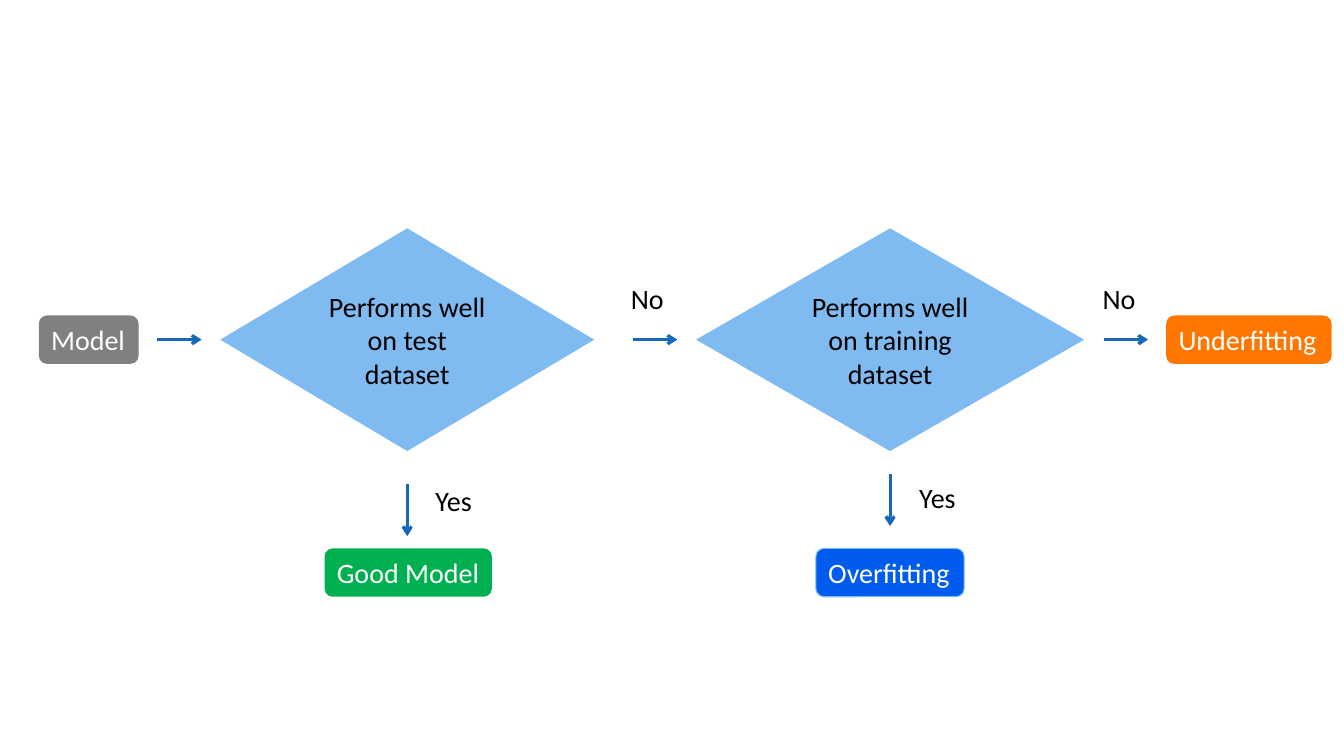
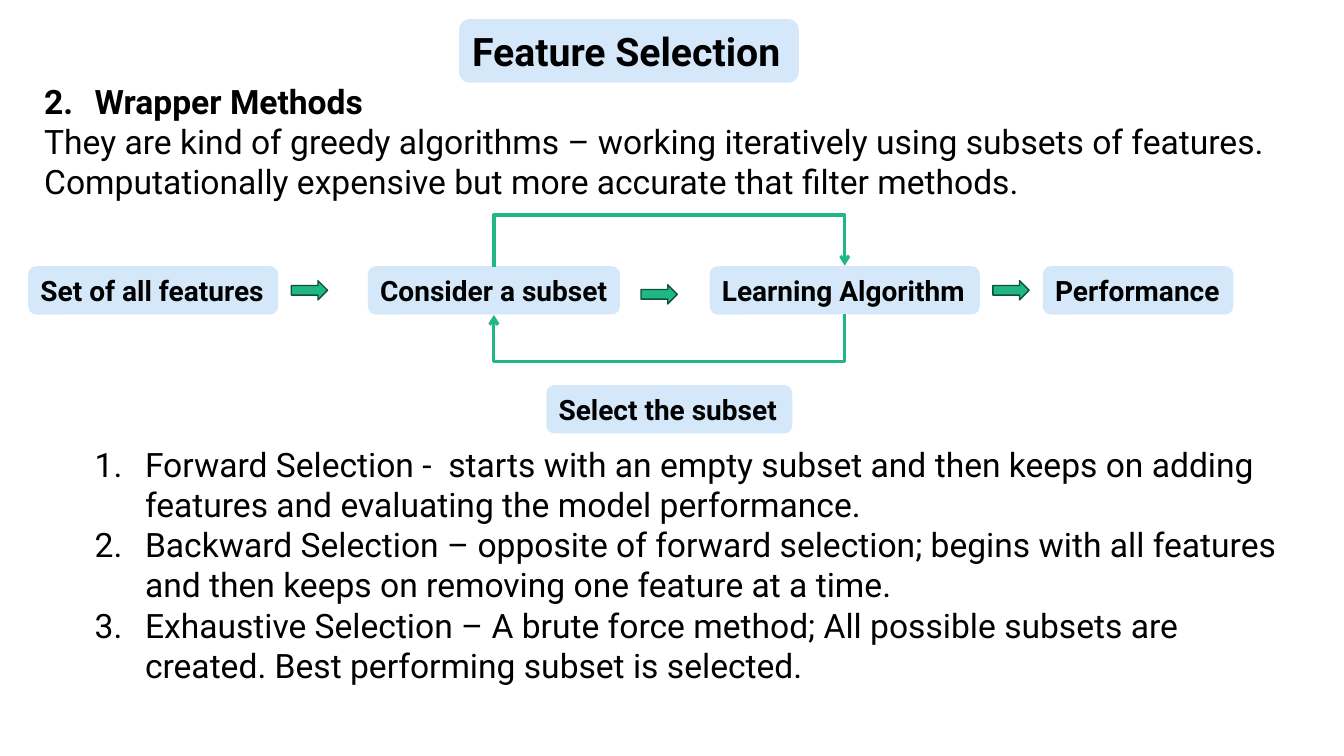
from dataclasses import dataclass
from lxml import etree
from pptx import Presentation, util as u
from pptx.dml.color import RGBColor
from pptx.enum import shapes, text
from pptx.oxml import ns


@dataclass(frozen=True)
class Theme:
    ink: str = "000000"
    white: str = "FFFFFF"
    gray: str = "808080"
    sky: str = "7FBAF1"
    pale: str = "D4E8FA"
    blue: str = "005BEF"
    navy: str = "1569B7"
    leaf: str = "00B050"
    fire: str = "FF7700"
    mint: str = "21B782"
    pine: str = "0E5039"
    flow: str = "Calibri"
    main: str = "Roboto"
    small: int = 20
    body: int = 24
    head: int = 28
    wire: float = 2.25
    chip: float = 4.8


LOOK = Theme()
KIND = shapes.MSO_SHAPE
JOIN = shapes.MSO_CONNECTOR


def add_node(parent, tag, **attrs):
    return etree.SubElement(parent, ns.qn(tag), attrs)


def write(frame, *lines, font=LOOK.flow, size=LOOK.small, color=LOOK.ink,
          bold=False, align=None, wrap=False, grow=True, number=0, indent=0.5):
    frame.word_wrap = wrap
    if grow:
        frame.auto_size = text.MSO_AUTO_SIZE.SHAPE_TO_FIT_TEXT
    for i, line in enumerate(lines):
        para = frame.paragraphs[0] if i == 0 else frame.add_paragraph()
        para.alignment = align or text.PP_ALIGN.LEFT
        if number:
            props = para._p.get_or_add_pPr()
            props.set("marL", str(u.Inches(indent)))
            props.set("indent", str(u.Inches(-0.5)))
            add_node(props, "a:buFont", typeface="+mj-lt")
            add_node(props, "a:buAutoNum", type="arabicPeriod", startAt=str(number))
        run = para.add_run()
        run.text = line
        run.font.name, run.font.size, run.font.bold = font, u.Pt(size), bold
        run.font.color.rgb = RGBColor.from_string(color)


class Deck:
    """Holds the style and current slide, measured on a grid of tenths of an inch."""

    def __init__(self, look):
        self.look = look
        self.show = Presentation()
        self.show.slide_width, self.show.slide_height = self.grid(133.33, 75)

    def grid(self, *cells):
        return [u.Inches(cell / 10) for cell in cells]

    def page(self):
        self.items = self.show.slides.add_slide(self.show.slide_layouts[6]).shapes

    def shape(self, kind, mid, row, wide, high, fill, edge=None, thick=1):
        item = self.items.add_shape(
            kind, *self.grid(mid - wide / 2, row - high / 2, wide, high))
        item.shadow.inherit = False
        item.fill.solid()
        item.fill.fore_color.rgb = RGBColor.from_string(fill)
        if edge:
            item.line.color.rgb = RGBColor.from_string(edge)
            item.line.width = u.Pt(thick)
        else:
            item.line.fill.background()
        return item

    def chip(self, words, mid, row, wide, fill, high=LOOK.chip, edge=None, **style):
        item = self.shape(KIND.ROUNDED_RECTANGLE, mid, row, wide, high, fill, edge, 0.75)
        item.text_frame.vertical_anchor = text.MSO_ANCHOR.MIDDLE
        write(item.text_frame, words, **style)

    def choice(self, lines, mid, row, wide, high):
        item = self.shape(KIND.DIAMOND, mid, row, wide, high, self.look.sky)
        item.text_frame.vertical_anchor = text.MSO_ANCHOR.MIDDLE
        write(item.text_frame, *lines, wrap=True, grow=False, align=text.PP_ALIGN.CENTER)

    def label(self, left, top, wide, high, *lines, **style):
        box = self.items.add_textbox(*self.grid(left, top, wide, high))
        write(box.text_frame, *lines, **style)
        return box.text_frame

    def wire(self, ends, color, kind=JOIN.STRAIGHT):
        item = self.items.add_connector(kind, *self.grid(*ends))
        item.line.color.rgb = RGBColor.from_string(color)
        item.line.width = u.Pt(self.look.wire)
        add_node(item.line._get_or_add_ln(), "a:tailEnd", type="arrow")
        add_node(item._element.spPr, "a:effectLst")
        return item

    def loop(self, start, end, row, drop):
        mid, half = (start + end) / 2, (start - end) / 2
        slim = 0.05 if half > 0 else -0.05
        item = self.wire((mid - slim, row - half, mid + slim, row + half),
                         self.look.mint, JOIN.ELBOW)
        props = item._element.spPr
        props.find(ns.qn("a:xfrm")).set("rot", "5400000")
        guides = props.find(ns.qn("a:prstGeom")).find(ns.qn("a:avLst"))
        ratio = round(drop / abs(2 * slim) * 100000)
        add_node(guides, "a:gd", name="adj1", fmla=f"val {ratio}")


def draw_fit(deck):
    look = deck.look
    deck.page()
    test, train, axis, base = 40.4, 88.3, 33.7, 56.8
    for mid, wide, topic in ((test, 37.1, "test"), (train, 38.5, "training")):
        deck.choice(("Performs well", f"on {topic} dataset"), mid, axis, wide, 22.1)
    for words, mid, row, wide, fill, edge in (
            ("Model", 8.8, axis, 9.9, look.gray, None),
            ("Good Model", 40.5, base, 16.6, look.leaf, None),
            ("Overfitting", train, base, 14.7, look.blue, look.sky),
            ("Underfitting", 123.9, axis, 16.4, look.fire, None)):
        deck.chip(words, mid, row, wide, fill, edge=edge, color=look.white)
    for left in (15.6, 62.8, 109.5):
        deck.wire((left, axis, left + 4.4, axis), look.navy)
    for mid, top in ((test, 48), (train, 47)):
        deck.wire((mid, top, mid, top + 5.2), look.navy)
    for words, left, top in (("No", 61.6, 27.4), ("No", 108.4, 27.4),
                             ("Yes", 90.2, 47.2), ("Yes", 42.2, 47.5)):
        deck.label(left, top, 5.6, 4.4, words)


def draw_wrap(deck):
    look = deck.look
    deck.page()
    prose = dict(font=look.main, size=look.body, wrap=True)
    strong = dict(font=look.main, bold=True)
    left, wide, axis = 3.4, 127.2, 28.8
    deck.label(left, 7.5, wide, 5, "Wrapper Methods", number=2, **{**prose, **strong})
    deck.label(left, 11.5, wide, 9,
               "They are kind of greedy algorithms – working iteratively using subsets of features.",
               "Computationally expensive but more accurate that filter methods.", **prose)
    deck.label(left, 43.5, wide, 25,
               "Forward Selection -  starts with an empty subset and then keeps on adding features and evaluating the model performance.",
               "Backward Selection – opposite of forward selection; begins with all features and then keeps on removing one feature at a time.",
               "Exhaustive Selection – A brute force method; All possible subsets are created. Best performing subset is selected.",
               number=1, indent=1, **prose)
    deck.chip("Feature Selection", 62.4, 5.05, 33.7, look.pale, high=6.3,
              size=look.head, **strong)
    pick, learn = 49, 83.8
    for words, mid, row, span in (
            ("Set of all features", 15.2, axis, 24.8),
            ("Consider a subset", pick, axis, 25),
            ("Learning Algorithm", learn, axis, 26.8),
            ("Performance", 112.9, axis, 18.9),
            ("Select the subset", 66.4, 40.6, 24.4)):
        deck.chip(words, mid, row, span, look.pale, **strong)
    for mid, row in ((30.7, axis), (65.4, axis + 0.4), (100.3, axis)):
        deck.shape(KIND.RIGHT_ARROW, mid, row, 3.6, 1.9, look.mint, look.pine)
    edge = look.chip / 2
    deck.loop(pick, learn, axis - edge, 5.2)
    deck.loop(learn, pick, axis + edge, 4.8)


def main():
    deck = Deck(LOOK)
    draw_fit(deck)
    draw_wrap(deck)
    deck.show.save("out.pptx")


if __name__ == "__main__":
    main()
